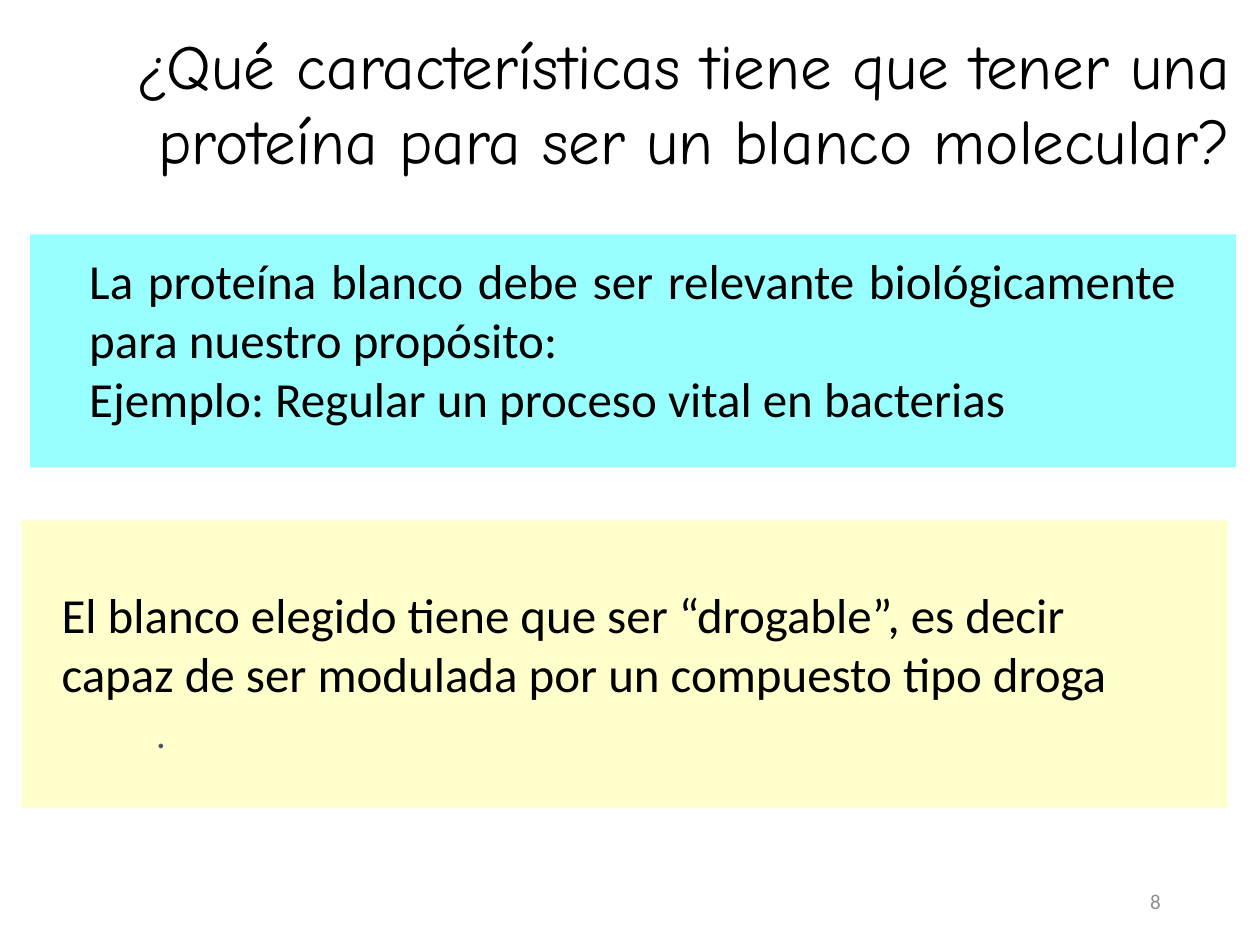
from dataclasses import dataclass

from pptx import Presentation
from pptx.dml.color import RGBColor
from pptx.enum.shapes import MSO_SHAPE
from pptx.enum.text import MSO_ANCHOR, PP_ALIGN
from pptx.util import Pt

RECTANGLE = MSO_SHAPE.RECTANGLE
LEFT, RIGHT, JUSTIFY = PP_ALIGN.LEFT, PP_ALIGN.RIGHT, PP_ALIGN.JUSTIFY
TOP, MIDDLE = MSO_ANCHOR.TOP, MSO_ANCHOR.MIDDLE

BLACK = RGBColor(0x00, 0x00, 0x00)
GRAY = RGBColor(0x8C, 0x8C, 0x8C)
SLATE = RGBColor(0x44, 0x54, 0x6A)
CYAN = RGBColor(0x98, 0xFF, 0xFE)
CREAM = RGBColor(0xFF, 0xFF, 0xCC)


@dataclass(frozen=True)
class Area:
    left: float
    top: float
    width: float
    height: float

    def lengths(self) -> tuple[Pt, Pt, Pt, Pt]:
        return Pt(self.left), Pt(self.top), Pt(self.width), Pt(self.height)


@dataclass(frozen=True)
class Line:
    text: str
    size: float = 28
    color: RGBColor = BLACK
    font: str = "Calibri"
    align: PP_ALIGN = LEFT
    space_before: float = 0
    margin: float = 0
    indent: float = 0


@dataclass(frozen=True)
class Caption:
    area: Area
    lines: tuple[Line, ...]
    anchor: MSO_ANCHOR = TOP


@dataclass(frozen=True)
class Panel:
    area: Area
    color: RGBColor
    caption: Caption


TITLE = Caption(Area(-4.3, 11.5, 714.2, 95), (
    Line("¿Qué características tiene que tener una proteína para ser un blanco molecular?",
         size=36, font="Comic Neue", align=RIGHT),
))
PANELS = (
    Panel(Area(12.4, 297.3, 689, 164.2), CREAM, Caption(Area(28.1, 330.5, 648, 124.6), (
        Line("El blanco elegido tiene que ser “drogable”, es decir capaz de ser "
             "modulada por un compuesto tipo droga"),
        Line(".", size=22, color=SLATE, space_before=4.4, margin=74.2, indent=-20.2),
    ))),
    Panel(Area(17.3, 133.9, 689, 133.2), CYAN, Caption(Area(43.9, 139.7, 635, 109.4), (
        Line("La proteína blanco debe ser relevante biológicamente para nuestro propósito:",
             align=JUSTIFY),
        Line("Ejemplo: Regular un proceso vital en bacterias", align=JUSTIFY),
    ))),
)
PAGE_NUMBER = Caption(Area(508.3, 500.4, 162, 28.8),
                      (Line("8", size=12, color=GRAY, align=RIGHT),), MIDDLE)


def add_caption(page, caption: Caption) -> None:
    box = page.shapes.add_textbox(*caption.area.lengths())
    frame = box.text_frame
    frame.word_wrap = True
    frame.vertical_anchor = caption.anchor
    for index, line in enumerate(caption.lines):
        para = frame.add_paragraph() if index else frame.paragraphs[0]
        para.alignment = line.align
        if line.space_before:
            para.space_before = Pt(line.space_before)
        if line.margin:
            properties = para._p.get_or_add_pPr()
            properties.set("marL", str(Pt(line.margin)))
            properties.set("indent", str(Pt(line.indent)))
        span = para.add_run()
        span.text = line.text
        span.font.name = line.font
        span.font.size = Pt(line.size)
        span.font.color.rgb = line.color


def add_panel(page, panel: Panel) -> None:
    shape = page.shapes.add_shape(RECTANGLE, *panel.area.lengths())
    shape.shadow.inherit = False
    shape.fill.solid()
    shape.fill.fore_color.rgb = panel.color
    shape.line.fill.background()
    add_caption(page, panel.caption)


def main() -> None:
    deck = Presentation()
    deck.slide_width, deck.slide_height = Pt(720), Pt(540)
    page = deck.slides.add_slide(deck.slide_layouts[6])
    add_caption(page, TITLE)
    for panel in PANELS:
        add_panel(page, panel)
    add_caption(page, PAGE_NUMBER)
    deck.save("out.pptx")


if __name__ == "__main__":
    main()
